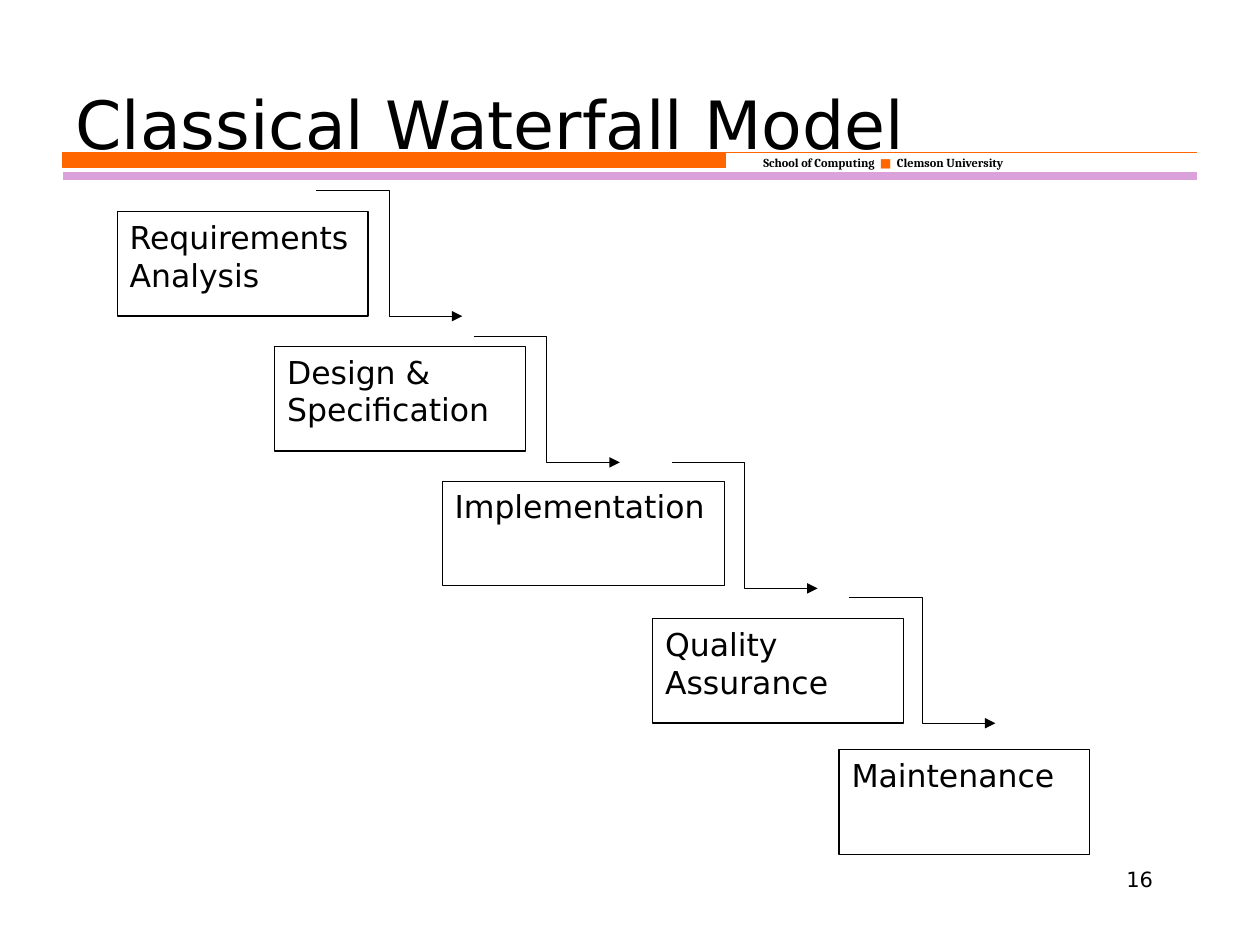
import pptx
import pptx.dml.color
import pptx.enum.shapes
import pptx.enum.text
import pptx.oxml
import pptx.util
from pptx.util import Inches

HUES = {"ink": "000000", "paper": "FFFFFF", "flame": "FF6600", "lilac": "DAA1DB"}
SANS = "DejaVu Sans"
STEPS = [
    ("Requirements\vAnalysis", 0.93, 1.68, 1.99),
    ("Design &\vSpecification", 2.18, 2.75, 1.99),
    ("Implementation", 3.51, 3.82, 2.24),
    ("Quality\vAssurance", 5.18, 4.91, 1.99),
    ("Maintenance", 6.66, 5.95, 1.99),
]
LINKS = [(2.51, 1.51), (3.76, 2.67), (5.33, 3.67), (6.74, 4.74)]


def hue(name):
    """Return the named colour."""
    return pptx.dml.color.RGBColor.from_string(HUES[name])


def style(run, size, face=SANS, bold=False, tint="ink"):
    """Set the font of one run."""
    form = {"name": face, "size": pptx.util.Pt(size), "bold": bold}
    for key, value in form.items():
        setattr(run.font, key, value)
    run.font.color.rgb = hue(tint)


def write(frame, text, size, side="LEFT", anchor="TOP"):
    """Fill a text frame with one paragraph."""
    form = {
        "word_wrap": True,
        "vertical_anchor": getattr(pptx.enum.text.MSO_ANCHOR, anchor),
    }
    for key, value in form.items():
        setattr(frame, key, value)
    para = frame.paragraphs[0]
    para.text = text
    para.alignment = getattr(pptx.enum.text.PP_ALIGN, side)
    for run in para.runs:
        style(run, size)


def paint(shape, fill, edge):
    """Give a shape a plain fill and a thin edge."""
    shape.shadow.inherit = False
    shape.fill.solid()
    shape.fill.fore_color.rgb = hue(fill)
    shape.line.color.rgb = hue(edge)
    shape.line.width = pptx.util.Pt(0.75)


def join(slide, kind, start, end, tint, width):
    """Draw a connector with no shadow."""
    kind = getattr(pptx.enum.shapes.MSO_CONNECTOR, kind)
    ends = [Inches(n) for n in (*start, *end)]
    wire = slide.shapes.add_connector(kind, *ends)
    wire.line.color.rgb = hue(tint)
    wire.line.width = pptx.util.Pt(width)
    pptx.oxml.xmlchemy.OxmlElement
    wire.element.spPr.append(pptx.oxml.xmlchemy.OxmlElement("a:effectLst"))
    return wire


def banner(slide, left, top, width):
    """Draw the header bar, school name and lower rule."""
    right, split, base = left + width, left + 5.26, top + 0.12
    pen = slide.shapes.build_freeform(Inches(left), Inches(top))
    block = [(split, top), (split, base), (left, base)]
    pen.add_line_segments([(Inches(x), Inches(y)) for x, y in block], close=True)
    pen.move_to(Inches(left), Inches(top))
    pen.add_line_segments([(Inches(right), Inches(top))], close=False)
    paint(pen.convert_to_shape(), "flame", "flame")

    box = slide.shapes.add_textbox(
        Inches(split + 0.2), Inches(top - 0.03), Inches(2.4), Inches(0.22))
    box.text_frame.word_wrap = False
    para = box.text_frame.paragraphs[0]
    for text, face, bold, tint in [
        ("School of Computing  ", "Cambria", True, "ink"),
        ("■", SANS, False, "flame"),
        ("  Clemson University", "Cambria", True, "ink"),
    ]:
        run = para.add_run()
        run.text = text
        style(run, 7, face, bold, tint)
    join(slide, "STRAIGHT", (left, top + 0.19), (right, top + 0.19), "lilac", 4.5)


def label(slide, box, text, size, **form):
    """Place a text box."""
    area = slide.shapes.add_textbox(*[Inches(n) for n in box])
    write(area.text_frame, text, size, **form)


def stage(slide, text, left, top, width, height=0.83):
    """Draw one stage of the model."""
    box = slide.shapes.add_shape(
        pptx.enum.shapes.MSO_SHAPE.RECTANGLE,
        Inches(left), Inches(top), Inches(width), Inches(height))
    paint(box, "paper", "ink")
    write(box.text_frame, text, 18)


def drop(slide, left, top, width=1.16, height=1):
    """Draw one stepped arrow between stages."""
    wire = join(slide, "ELBOW", (left, top), (left + width, top + height), "ink", 0.75)
    head = pptx.oxml.xmlchemy.OxmlElement("a:tailEnd")
    head.set("type", "triangle")
    wire.line._get_or_add_ln().append(head)


def main():
    """Build and save the slide."""
    deck = pptx.Presentation()
    deck.slide_width, deck.slide_height = Inches(10), Inches(7.5)
    slide = deck.slides.add_slide(deck.slide_layouts[6])
    banner(slide, 0.5, 1.21, 9)
    label(slide, (0.5, 0.43, 9, 0.91), "Classical Waterfall Model", 38, anchor="BOTTOM")
    label(slide, (7.17, 6.83, 2.08, 0.5), "16", 12, side="RIGHT")
    for step in STEPS:
        stage(slide, *step)
    for spot in LINKS:
        drop(slide, *spot)
    deck.save("out.pptx")


if __name__ == "__main__":
    main()
